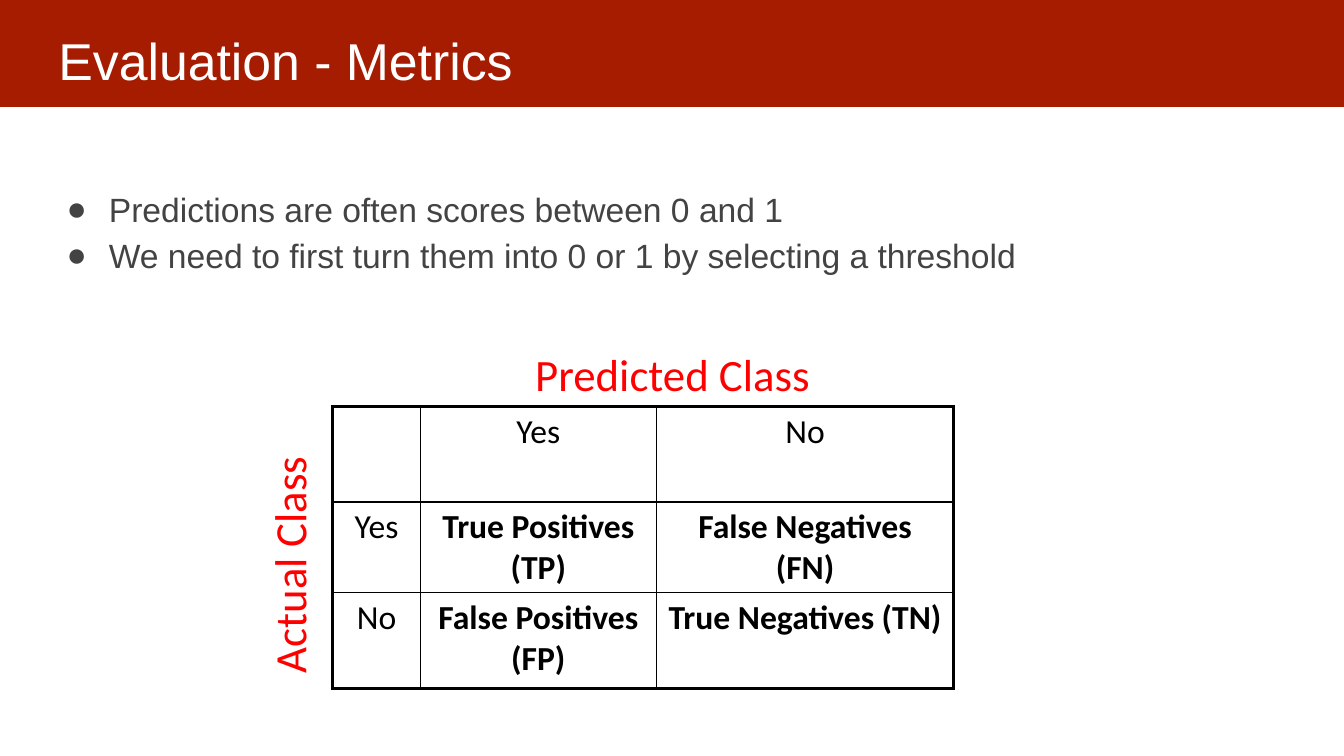
from dataclasses import dataclass

from lxml.etree import SubElement
from pptx import Presentation
from pptx.dml.color import RGBColor
from pptx.enum.shapes import MSO_SHAPE
from pptx.enum.text import MSO_ANCHOR, MSO_AUTO_SIZE, PP_ALIGN
from pptx.oxml.ns import qn
from pptx.util import Inches, Pt


@dataclass(frozen=True)
class Theme:
    heading_font: str = "Arial"
    table_font: str = "Calibri"
    band: str = "A61C00"
    title: str = "FFFFFF"
    body: str = "434343"
    label: str = "FF0000"
    ink: str = "000000"
    title_size: int = 37
    body_size: int = 24
    label_size: int = 32
    outer_line: float = 2.25
    inner_line: float = 1


class SlideBuilder:
    def __init__(self, presentation, theme):
        self.theme = theme
        self.slide = presentation.slides.add_slide(presentation.slide_layouts[5])

    def apply(self, target, values):
        for name, value in values.items():
            setattr(target, name, value)

    def place(self, shape, box):
        self.apply(shape, dict(zip(("left", "top", "width", "height"), map(Inches, box))))

    def add_text(self, paragraph, text, font, size, color, bold=False):
        run = paragraph.add_run()
        run.text = text
        self.apply(run.font, {"name": font, "size": Pt(size), "bold": bold})
        run.font.color.rgb = RGBColor.from_string(color)

    def frame(self, shape, margins, **values):
        names = ("margin_left", "margin_top", "margin_right", "margin_bottom")
        self.apply(shape.text_frame, dict(zip(names, map(Inches, margins))))
        self.apply(shape.text_frame, values)
        return shape.text_frame

    def band(self, box):
        shape = self.slide.shapes.add_shape(MSO_SHAPE.RECTANGLE, *map(Inches, box))
        shape.shadow.inherit = False
        shape.fill.solid()
        shape.fill.fore_color.rgb = RGBColor.from_string(self.theme.band)
        shape.line.fill.background()
        self.slide.shapes._spTree.insert(2, shape._element)

    def title(self, text, box):
        shape = self.slide.shapes.title
        self.place(shape, box)
        frame = self.frame(shape, (0.13, 0.19, 0.13, 0), word_wrap=True,
                           auto_size=MSO_AUTO_SIZE.NONE, vertical_anchor=MSO_ANCHOR.TOP)
        paragraph = frame.paragraphs[0]
        paragraph.alignment = PP_ALIGN.LEFT
        theme = self.theme
        self.add_text(paragraph, text, theme.heading_font, theme.title_size, theme.title)

    def bullets(self, lines, box):
        theme = self.theme
        shape = self.slide.shapes.add_textbox(*map(Inches, box))
        frame = self.frame(shape, (0.13,) * 4, word_wrap=True)
        for index, line in enumerate(lines):
            paragraph = frame.add_paragraph() if index else frame.paragraphs[0]
            paragraph.line_spacing = 1.15
            properties = paragraph._p.get_or_add_pPr()
            properties.set("marL", str(Inches(0.5)))
            properties.set("indent", str(Inches(-0.42)))
            bullet_color = SubElement(properties, qn("a:buClr"))
            SubElement(bullet_color, qn("a:srgbClr"), val=theme.body)
            SubElement(properties, qn("a:buFont"), typeface=theme.heading_font)
            SubElement(properties, qn("a:buChar"), char="●")
            self.add_text(paragraph, line, theme.heading_font, theme.body_size, theme.body)

    def label(self, text, box, rotation=0, wrap=True):
        theme = self.theme
        shape = self.slide.shapes.add_textbox(*map(Inches, box))
        shape.rotation = rotation
        frame = self.frame(shape, (0.1, 0.05, 0.1, 0.05), word_wrap=wrap,
                           auto_size=MSO_AUTO_SIZE.SHAPE_TO_FIT_TEXT)
        self.add_text(frame.paragraphs[0], text, theme.table_font, theme.label_size, theme.label)

    def border(self, cell, side, width):
        properties = cell._tc.get_or_add_tcPr()
        line = SubElement(properties, qn(f"a:ln{side}"), w=str(Pt(width)))
        fill = SubElement(line, qn("a:solidFill"))
        SubElement(fill, qn("a:srgbClr"), val=self.theme.ink)

    def matrix(self, rows, left, top, widths, heights):
        theme = self.theme
        last_row, last_column = len(heights) - 1, len(widths) - 1
        table = self.slide.shapes.add_table(
            len(heights), len(widths), Inches(left), Inches(top),
            Inches(sum(widths)), Inches(sum(heights))).table
        self.apply(table, {"first_row": False, "horz_banding": False})
        for column, width in zip(table.columns, widths):
            column.width = Inches(width)
        for row, height in zip(table.rows, heights):
            row.height = Inches(height)
        for row, texts in enumerate(rows):
            for column, text in enumerate(texts):
                cell = table.cell(row, column)
                edges = {"L": column == 0, "R": column == last_column,
                         "T": row == 0, "B": row == last_row}
                for side, outer in edges.items():
                    self.border(cell, side, theme.outer_line if outer else theme.inner_line)
                cell.fill.background()
                if text:
                    paragraph = cell.text_frame.paragraphs[0]
                    paragraph.alignment = PP_ALIGN.CENTER
                    self.add_text(paragraph, text, theme.table_font, theme.body_size,
                                  theme.ink, bold=row > 0 and column > 0)


def main():
    presentation = Presentation()
    presentation.slide_width = Inches(13.33)
    presentation.slide_height = Inches(7.5)
    builder = SlideBuilder(presentation, Theme())
    builder.band((-0.02, -0.04, 13.36, 1.1))
    builder.title("Evaluation - Metrics", (0.45, 0.09, 12.42, 0.83))
    builder.bullets([
        "Predictions are often scores between 0 and 1",
        "We need to first turn them into 0 or 1 by selecting a threshold",
    ], (0.45, 1.68, 12.42, 4.98))
    builder.matrix([
        ["", "Yes", "No"],
        ["Yes", "True Positives (TP)", "False Negatives (FN)"],
        ["No", "False Positives (FP)", "True Negatives (TN)"],
    ], 3.3, 4.03, (0.87, 2.34, 2.95), (0.95, 0.84, 0.95))
    builder.label("Predicted Class", (5.21, 3.39, 2.98, 0.64))
    builder.label("Actual Class", (1.68, 5.27, 2.37, 0.64), rotation=270, wrap=False)
    presentation.save("out.pptx")


if __name__ == "__main__":
    main()
